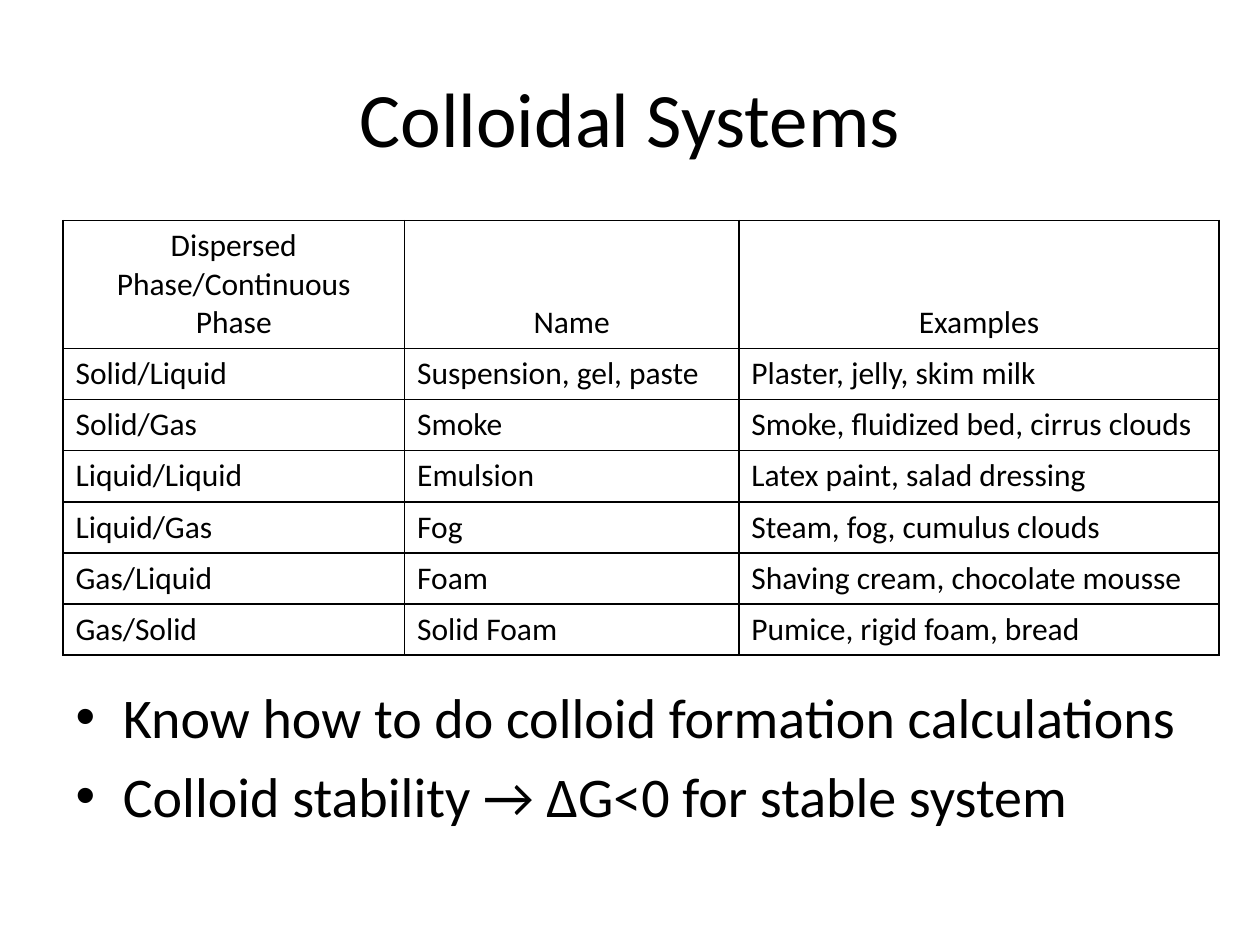
from dataclasses import dataclass

from lxml import etree
from pptx import Presentation
from pptx.dml.color import RGBColor
from pptx.enum import text
from pptx.oxml import ns
from pptx.util import Pt


@dataclass(frozen=True)
class Theme:
    font: str = "Calibri"
    ink: str = "000000"
    head: int = 44
    body: int = 32
    cell: int = 18
    rule: int = 1


THEME = Theme()
LEFT, WIDE = 36, 648
COLS = (195.2, 191, 274.5)
ROW = 29.2
ROWS = (
    ("Dispersed Phase/Continuous Phase", "Name", "Examples"),
    ("Solid/Liquid", "Suspension, gel, paste", "Plaster, jelly, skim milk"),
    ("Solid/Gas", "Smoke", "Smoke, fluidized bed, cirrus clouds"),
    ("Liquid/Liquid", "Emulsion", "Latex paint, salad dressing"),
    ("Liquid/Gas", "Fog", "Steam, fog, cumulus clouds"),
    ("Gas/Liquid", "Foam", "Shaving cream, chocolate mousse"),
    ("Gas/Solid", "Solid Foam", "Pumice, rigid foam, bread"),
)
POINTS = (
    "Know how to do colloid formation calculations",
    "Colloid stability → ΔG<0 for stable system",
)


def apply(item, form):
    """Set each attribute named in form."""
    for key, value in form.items():
        setattr(item, key, value)


def style(para, size, align=None):
    font = para.runs[0].font
    apply(font, {"name": THEME.font, "size": Pt(size)})
    font.color.rgb = RGBColor.from_string(THEME.ink)
    if align is not None:
        para.alignment = align


def fill_holder(shape, box, lines, size, form, align=None):
    """Move a placeholder and give it one paragraph per line."""
    apply(shape, dict(zip(("left", "top", "width", "height"), map(Pt, box))))
    frame = shape.text_frame
    frame.text = "\n".join(lines)
    apply(frame, {"auto_size": text.MSO_AUTO_SIZE.NONE, "word_wrap": True, **form})
    for para in frame.paragraphs:
        style(para, size, align)


def add_rules(cell):
    """Draw a line on all four sides of a cell."""
    props = cell._tc.get_or_add_tcPr()
    for side in ("lnL", "lnR", "lnT", "lnB"):
        line = etree.SubElement(props, ns.qn(f"a:{side}"), w=str(Pt(THEME.rule)))
        fill = etree.SubElement(line, ns.qn("a:solidFill"))
        etree.SubElement(fill, ns.qn("a:srgbClr"), val=THEME.ink)


def fill_cell(cell, words, head, low):
    cell.text = words
    style(cell.text_frame.paragraphs[0], THEME.cell,
          text.PP_ALIGN.CENTER if head else text.PP_ALIGN.LEFT)
    cell.vertical_anchor = text.MSO_ANCHOR.BOTTOM if low else text.MSO_ANCHOR.TOP
    add_rules(cell)
    cell.fill.background()


def add_grid(slide, left, top):
    frame = slide.shapes.add_table(
        len(ROWS), len(COLS), Pt(left), Pt(top), Pt(sum(COLS)), Pt(ROW * len(ROWS)))
    table = frame.table
    apply(table, {"first_row": False, "horz_banding": False})
    for col, width in zip(table.columns, COLS):
        col.width = Pt(width)
    for r, row in enumerate(ROWS):
        for c, words in enumerate(row):
            head = r == 0
            fill_cell(table.cell(r, c), words, head, head and c > 0)


def main():
    deck = Presentation()
    apply(deck, {"slide_width": Pt(720), "slide_height": Pt(540)})
    slide = deck.slides.add_slide(deck.slide_layouts[1])

    # Title
    fill_holder(slide.shapes.title, (LEFT, 21.6, WIDE, 90),
                ["Colloidal Systems"], THEME.head,
                {"vertical_anchor": text.MSO_ANCHOR.MIDDLE}, text.PP_ALIGN.CENTER)

    # Table of colloid types
    add_grid(slide, LEFT, 126)

    # Bullets, with the template's own marks and indents
    fill_holder(slide.placeholders[1], (LEFT, 386.6, WIDE, 95.8),
                POINTS, THEME.body, {"vertical_anchor": text.MSO_ANCHOR.TOP})

    deck.save("out.pptx")


if __name__ == "__main__":
    main()
